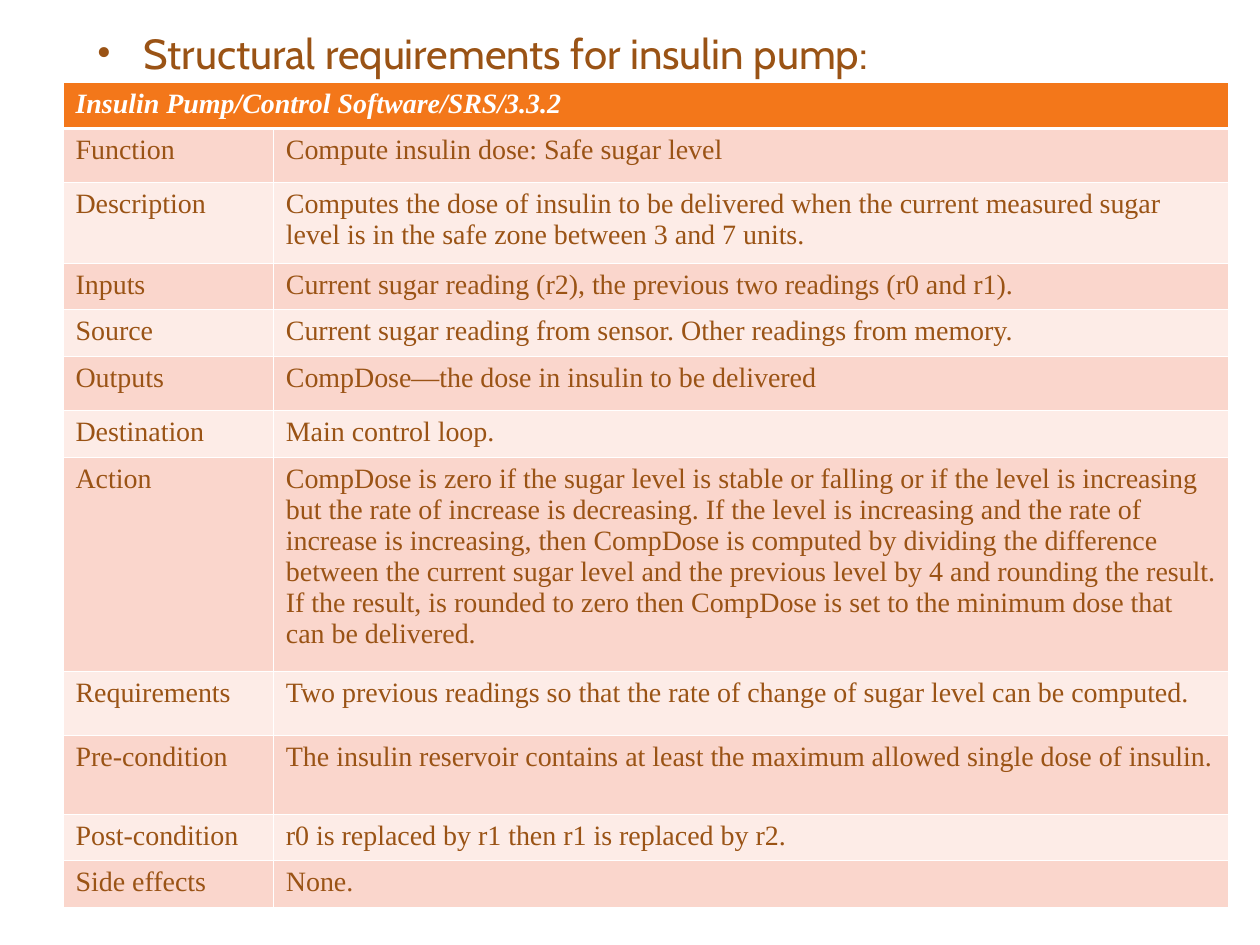
from lxml import etree
from pptx import Presentation
from pptx import util as u
from pptx.dml import color
from pptx.enum import text
from pptx.oxml import ns

COLORS = {
    "brown": "9A5315",
    "orange": "F3771A",
    "dark_band": "FAD6CC",
    "light_band": "FDECE7",
    "white": "FFFFFF",
}

BODY_FORMAT = {"name": "Times New Roman", "size": u.Pt(16), "bold": False, "italic": False}
HEADER_FORMAT = {**BODY_FORMAT, "bold": True, "italic": True}
TITLE_FORMAT = {"name": "Cabin", "size": u.Pt(24)}

TITLE = "Structural requirements for insulin pump:"
HEADER = "Insulin Pump/Control Software/SRS/3.3.2"
HEADER_HEIGHT = 0.94
COLUMN_WIDTHS = (4.24, 19.26)

# Label, content and row height in centimetres
REQUIREMENTS = [
    ("Function", "Compute insulin dose: Safe sugar level", 1.09),
    ("Description", "Computes the dose of insulin to be delivered when the current measured "
     "sugar level is in the safe zone between 3 and 7 units.", 1.62),
    ("Inputs", "Current sugar reading (r2), the previous two readings (r0 and r1).", 0.94),
    ("Source", "Current sugar reading from sensor. Other readings from memory.", 0.94),
    ("Outputs", "CompDose—the dose in insulin to be delivered", 1.09),
    ("Destination", "Main control loop.", 0.94),
    ("Action", "CompDose is zero if the sugar level is stable or falling or if the level is "
     "increasing but the rate of increase is decreasing. If the level is increasing and the "
     "rate of increase is increasing, then CompDose is computed by dividing the difference "
     "between the current sugar level and the previous level by 4 and rounding the result. "
     "If the result, is rounded to zero then CompDose is set to the minimum dose that can be "
     "delivered.", 4.32),
    ("Requirements", "Two previous readings so that the rate of change of sugar level can be "
     "computed.", 1.29),
    ("Pre-condition", "The insulin reservoir contains at least the maximum allowed single dose "
     "of insulin.", 1.59),
    ("Post-condition", "r0 is replaced by r1 then r1 is replaced by r2.", 0.94),
    ("Side effects", "None.", 0.94),
]


def rgb(name):
    return color.RGBColor.from_string(COLORS[name])


def write(paragraph, words, color_name, font_format):
    run = paragraph.add_run()
    run.text = words
    run.font.color.rgb = rgb(color_name)
    for attribute, value in font_format.items():
        setattr(run.font, attribute, value)


def add_border(cell, side, width):
    properties = cell._tc.get_or_add_tcPr()
    line = etree.SubElement(properties, ns.qn(f"a:ln{side}"), w=str(u.Pt(width)))
    fill = etree.SubElement(line, ns.qn("a:solidFill"))
    etree.SubElement(fill, ns.qn("a:srgbClr"), val=COLORS["white"])


def style_cell(cell, fill_name, top=0.45, bottom=0.45):
    for side, width in zip("LRTB", (0.45, 0.45, top, bottom)):
        add_border(cell, side, width)
    cell.fill.solid()
    cell.fill.fore_color.rgb = rgb(fill_name)


def add_title(slide, left, top, width, height):
    frame = slide.shapes.add_textbox(left, top, width, height).text_frame
    frame.word_wrap = True
    frame.vertical_anchor = text.MSO_ANCHOR.TOP
    paragraph = frame.paragraphs[0]
    write(paragraph, TITLE, "brown", TITLE_FORMAT)

    # Hanging bullet
    properties = paragraph._p.get_or_add_pPr()
    indent = u.Cm(0.95)
    properties.set("marL", str(indent))
    properties.set("indent", str(-indent))
    bullet_color = etree.SubElement(properties, ns.qn("a:buClr"))
    etree.SubElement(bullet_color, ns.qn("a:srgbClr"), val=COLORS["brown"])
    etree.SubElement(properties, ns.qn("a:buFont"), typeface="Times New Roman")
    etree.SubElement(properties, ns.qn("a:buChar"), char="•")


def add_requirements_table(slide, left, top, width, height):
    table = slide.shapes.add_table(
        len(REQUIREMENTS) + 1, len(COLUMN_WIDTHS), left, top, width, height).table
    for column, column_width in zip(table.columns, COLUMN_WIDTHS):
        column.width = u.Cm(column_width)

    # Header across both columns
    table.rows[0].height = u.Cm(HEADER_HEIGHT)
    for cell in table.rows[0].cells:
        style_cell(cell, "orange", bottom=1.47)
    header = table.cell(0, 0)
    header.merge(table.cell(0, 1))
    write(header.text_frame.paragraphs[0], HEADER, "white", HEADER_FORMAT)

    # Banded requirement rows
    for index, (label, content, row_height) in enumerate(REQUIREMENTS, start=1):
        row = table.rows[index]
        row.height = u.Cm(row_height)
        band = "dark_band" if index % 2 else "light_band"
        for cell, words in zip(row.cells, (label, content)):
            style_cell(cell, band, top=1.47 if index == 1 else 0.45)
            write(cell.text_frame.paragraphs[0], words, "brown", BODY_FORMAT)


def main():
    presentation = Presentation()
    presentation.slide_width = u.Cm(25.4)
    presentation.slide_height = u.Cm(19.05)
    slide = presentation.slides.add_slide(presentation.slide_layouts[6])
    add_title(slide, u.Cm(1.7), u.Cm(0.43), u.Cm(22.43), u.Cm(1.27))
    add_requirements_table(slide, u.Cm(1.27), u.Cm(1.65), u.Cm(23.5), u.Cm(16.64))
    presentation.save("out.pptx")


if __name__ == "__main__":
    main()
